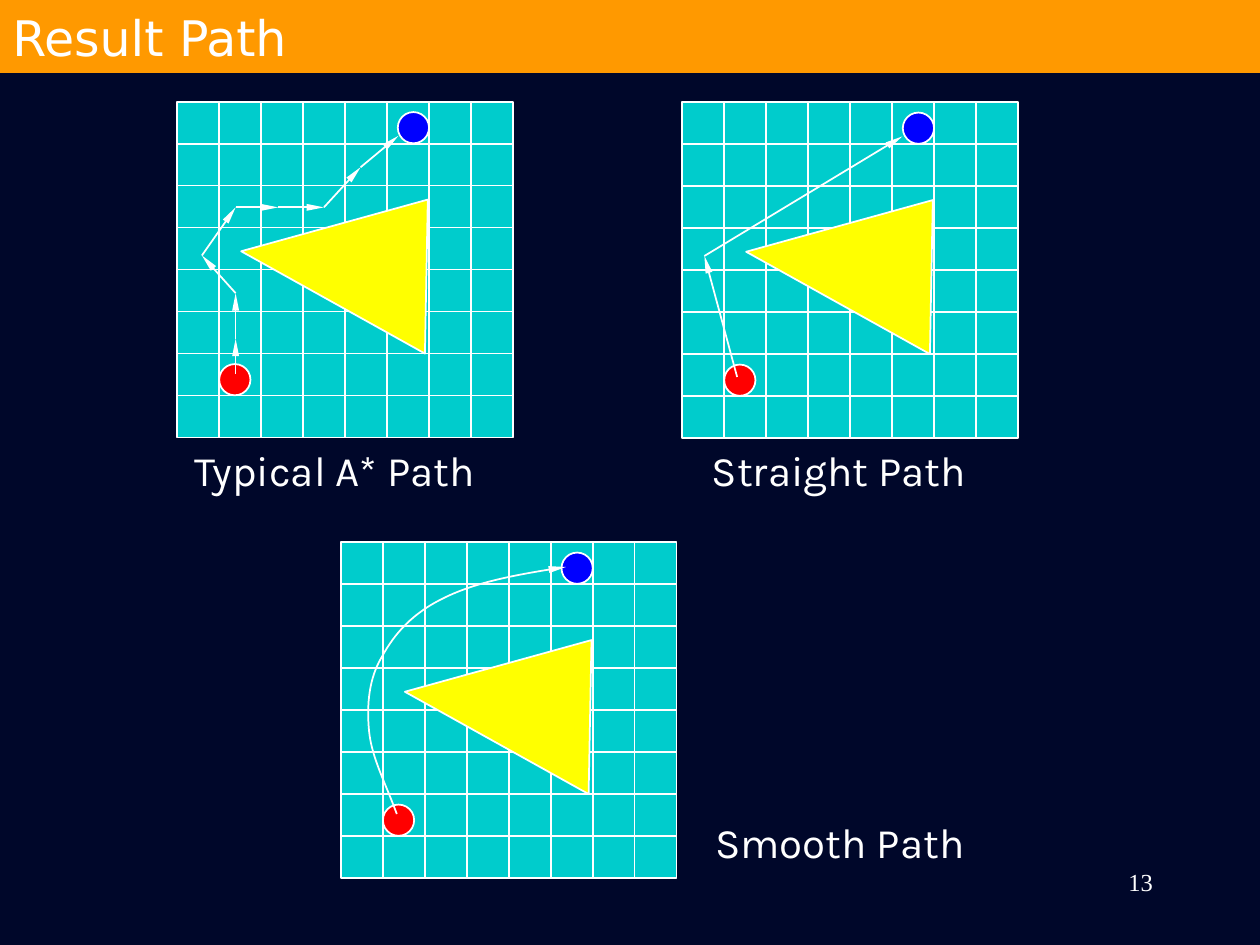
import dataclasses
import itertools

import lxml.etree
import pptx
import pptx.dml.color
import pptx.enum.shapes
import pptx.enum.text
import pptx.oxml.ns
import pptx.util

Cm = pptx.util.Cm
SHAPES = pptx.enum.shapes.MSO_SHAPE
ALIGN = pptx.enum.text.PP_ALIGN
qn = pptx.oxml.ns.qn


@dataclasses.dataclass(frozen=True)
class Theme:
    background: str = "00072A"
    banner: str = "FF9900"
    board: str = "00CCCC"
    obstacle: str = "FFFF00"
    start: str = "FF0000"
    goal: str = "0000FF"
    light: str = "FFFFFF"
    title_font: str = "DejaVu Sans"
    label_font: str = "Karla"
    number_font: str = "Times New Roman"
    title_size: int = 28
    label_size: int = 24
    number_size: int = 14
    line_width: int = 1


def color(value):
    return pptx.dml.color.RGBColor.from_string(value)


class SlidePainter:
    def __init__(self, page, theme):
        self.page = page
        self.theme = theme
        page.background.fill.solid()
        page.background.fill.fore_color.rgb = color(theme.background)

    def outline(self, item):
        item.line.color.rgb = color(self.theme.light)
        item.line.width = pptx.util.Pt(self.theme.line_width)

    def arrowhead(self, item):
        line = item.line._get_or_add_ln()
        lxml.etree.SubElement(line, qn("a:tailEnd"), type="triangle", w="sm", len="lg")

    def shape(self, parent, kind, left, top, width, height, fill, outlined=True):
        item = parent.shapes.add_shape(kind, Cm(left), Cm(top), Cm(width), Cm(height))
        item.shadow.inherit = False
        item.fill.solid()
        item.fill.fore_color.rgb = color(fill)
        if outlined:
            self.outline(item)
        else:
            item.line.fill.background()
        return item

    def line(self, parent, begin, end, arrow=False):
        item = parent.shapes.add_connector(
            pptx.enum.shapes.MSO_CONNECTOR.STRAIGHT, *map(Cm, (*begin, *end)))
        lxml.etree.SubElement(item._element.spPr, qn("a:effectLst"))
        self.outline(item)
        if arrow:
            self.arrowhead(item)

    def route(self, parent, points):
        for begin, end in itertools.pairwise(points):
            self.line(parent, begin, end, arrow=True)

    def curve(self, parent, points):
        start, *controls = [(Cm(x), Cm(y)) for x, y in points]
        builder = parent.shapes.build_freeform(*start)
        builder.add_line_segments(controls, close=False)
        item = builder.convert_to_shape()
        item.shadow.inherit = False
        item.fill.background()
        self.outline(item)
        self.arrowhead(item)
        steps = list(item._element.iter(qn("a:lnTo")))
        outline_path = steps[0].getparent()
        for index in range(0, len(steps), 3):
            bend = lxml.etree.SubElement(outline_path, qn("a:cubicBezTo"))
            for step in steps[index:index + 3]:
                bend.append(step[0])
                outline_path.remove(step)

    def add_text(self, box, text, font, size, align=ALIGN.LEFT):
        para = box.text_frame.paragraphs[0]
        para.alignment = align
        span = para.add_run()
        span.text = text
        span.font.name = font
        span.font.size = pptx.util.Pt(size)
        span.font.color.rgb = color(self.theme.light)

    def title(self, text):
        banner = self.shape(self.page, SHAPES.RECTANGLE, 0, 0, 25.4, 1.47,
                            self.theme.banner, outlined=False)
        banner.text_frame.vertical_anchor = pptx.enum.text.MSO_ANCHOR.MIDDLE
        self.add_text(banner, text, self.theme.title_font, self.theme.title_size)

    def label(self, parent, text, left, top, width):
        box = parent.shapes.add_textbox(Cm(left), Cm(top), Cm(width), Cm(1.27))
        box.text_frame.word_wrap = False
        box.text_frame.auto_size = pptx.enum.text.MSO_AUTO_SIZE.SHAPE_TO_FIT_TEXT
        self.add_text(box, text, self.theme.label_font, self.theme.label_size)

    def page_number(self, number):
        box = self.page.shapes.add_textbox(Cm(18.2), Cm(17.35), Cm(5.29), Cm(1.27))
        box.text_frame.word_wrap = True
        self.add_text(box, number, self.theme.number_font, self.theme.number_size, ALIGN.RIGHT)
        box.text_frame.paragraphs[0].space_before = pptx.util.Pt(8.8)

    def board(self, left, top, side=6.77, cells=8):
        theme = self.theme
        group = self.page.shapes.add_group_shape()
        self.shape(group, SHAPES.RECTANGLE, left, top, side, side, theme.board)
        cell = side / cells
        for index in range(1, cells):
            x, y = left + index * cell, top + index * cell
            self.line(group, (x, top), (x, top + side))
            self.line(group, (left, y), (left + side, y))
        obstacle = self.shape(group, SHAPES.ISOSCELES_TRIANGLE, left + 1.69, top + 1.48,
                              4.24, 2.74, theme.obstacle)
        obstacle.adjustments[0] = 0.656
        obstacle.rotation = 29.1
        for x, y, fill in ((0.85, 5.29, theme.start), (4.45, 0.21, theme.goal)):
            self.shape(group, SHAPES.OVAL, left + x, top + y, 0.63, 0.63, fill)
        return group


STEPPED = [(1.18, 5.49), (1.18, 4.78), (1.18, 3.86), (0.5, 3.1), (1.18, 2.13),
           (2.04, 2.13), (2.96, 2.13), (3.7, 1.32), (4.46, 0.69)]
STRAIGHT = [(1.11, 5.54), (0.45, 3.1), (4.44, 0.69)]
SMOOTH = [(1.13, 5.48), (0.9, 4.85), (0.62, 4.34), (0.57, 3.8), (0.52, 3.27),
          (0.57, 2.74), (0.83, 2.31), (1.08, 1.85), (1.44, 1.44), (2.05, 1.14),
          (2.66, 0.83), (3.65, 0.63), (4.54, 0.5)]


def main():
    deck = pptx.Presentation()
    deck.slide_width, deck.slide_height = Cm(25.4), Cm(19.05)
    painter = SlidePainter(deck.slides.add_slide(deck.slide_layouts[6]), Theme())
    painter.page_number("13")
    painter.title("Result Path")
    examples = (
        (3.57, 2.05, painter.route, STEPPED, ("Typical A* Path", 3.68, 8.84, 6.5)),
        (13.75, 2.06, painter.route, STRAIGHT, ("Straight Path", 14.1, 8.84, 5.69)),
        (6.87, 10.93, painter.curve, SMOOTH, ("Smooth Path", 14.17, 16.33, 5.64)),
    )
    for left, top, draw, points, label in examples:
        group = painter.board(left, top)
        draw(group, [(left + x, top + y) for x, y in points])
        painter.label(group, *label)
    deck.save("out.pptx")


if __name__ == "__main__":
    main()
